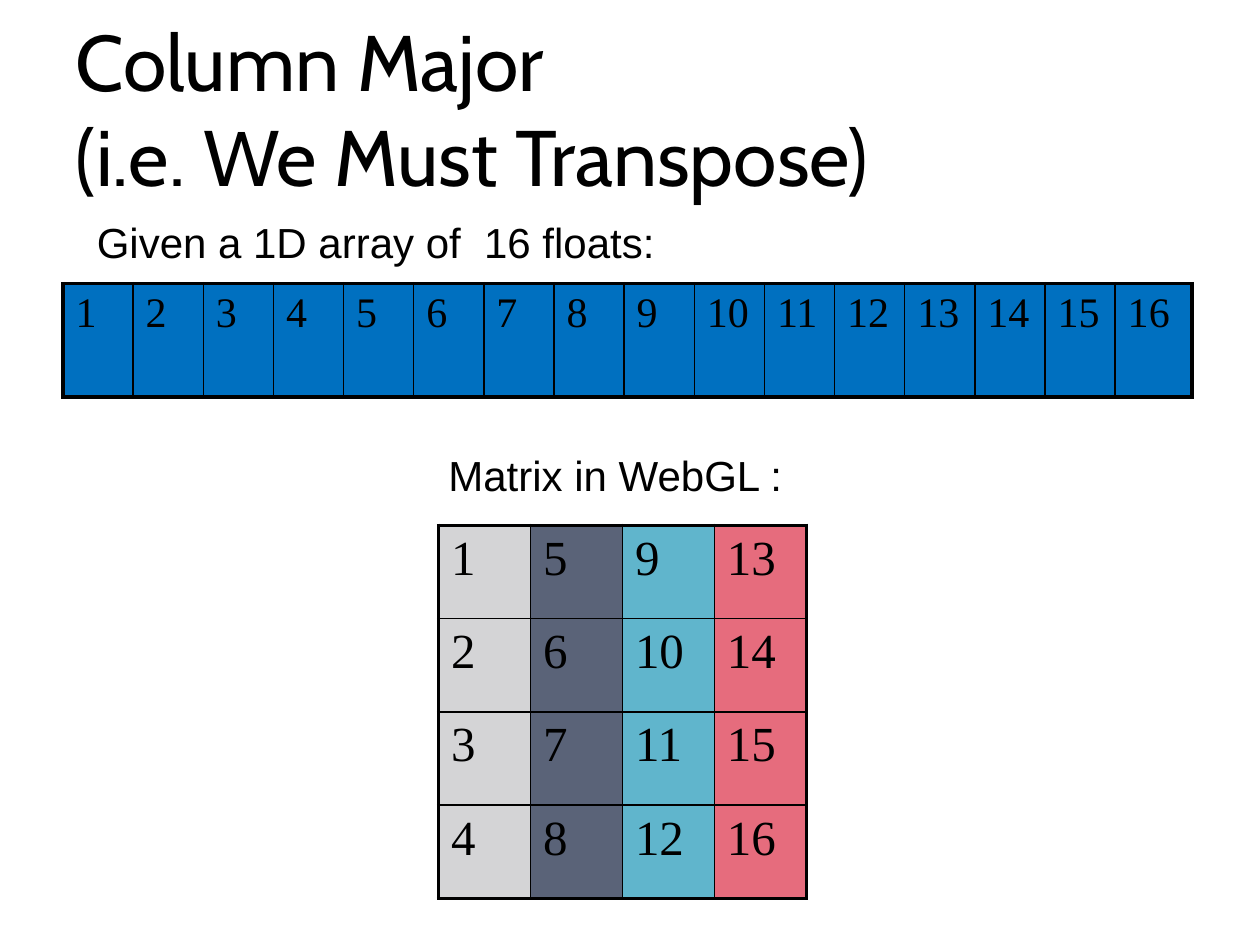
from dataclasses import dataclass

from lxml import etree
from pptx import Presentation
from pptx import util as u
from pptx.dml.color import RGBColor
from pptx.enum import text
from pptx.oxml.ns import qn


@dataclass(frozen=True)
class Theme:
    ink: str = "000000"
    array: str = "0070C0"
    columns: tuple = ("D4D4D6", "5A6378", "60B5CC", "E66C7D")
    head: str = "Cabin"
    body: str = "Arial"
    digit: str = "Times New Roman"
    title: int = 45
    label: int = 24
    cell: int = 28
    thin: float = 1
    thick: float = 2.25


class Deck:
    def __init__(self, theme, show):
        self.theme = theme
        self.slide = show.slides.add_slide(show.slide_layouts[5])

    def run(self, para, words, size, face):
        run = para.add_run()
        run.text = words
        run.font.size = u.Pt(size)
        run.font.name = face
        run.font.color.rgb = RGBColor.from_string(self.theme.ink)

    def place(self, shape, box):
        shape.left, shape.top, shape.width, shape.height = map(u.Inches, box)

    def title(self, lines, box):
        shape = self.slide.shapes.title
        self.place(shape, box)
        frame = shape.text_frame
        frame.word_wrap = True
        frame.auto_size = text.MSO_AUTO_SIZE.NONE
        frame.vertical_anchor = text.MSO_ANCHOR.MIDDLE
        frame.margin_left = u.Inches(0.1)
        frame.margin_right = u.Inches(0.05)
        para = frame.paragraphs[0]
        para.alignment = text.PP_ALIGN.LEFT
        for i, line in enumerate(lines):
            if i:
                para.add_line_break()
            self.run(para, line, self.theme.title, self.theme.head)

    def label(self, words, box):
        frame = self.slide.shapes.add_textbox(*map(u.Inches, box)).text_frame
        frame.word_wrap = True
        frame.auto_size = text.MSO_AUTO_SIZE.SHAPE_TO_FIT_TEXT
        self.run(frame.paragraphs[0], words, self.theme.label, self.theme.body)

    def border(self, cell, outer):
        """Draw four sides, thick where outer (left, right, top, bottom) is true."""
        props = cell._tc.get_or_add_tcPr()
        for i, (side, edge) in enumerate(zip("LRTB", outer)):
            width = self.theme.thick if edge else self.theme.thin
            line = etree.Element(qn(f"a:ln{side}"), w=str(u.Pt(width)))
            fill = etree.SubElement(line, qn("a:solidFill"))
            etree.SubElement(fill, qn("a:srgbClr"), val=self.theme.ink)
            props.insert(i, line)

    def table(self, values, box, widths, fills, size):
        rows, cols = len(values), len(values[0])
        frame = self.slide.shapes.add_table(rows, cols, *map(u.Inches, box))
        grid = frame.table
        grid.first_row = grid.horz_banding = False
        for col, width in zip(grid.columns, widths):
            col.width = u.Inches(width)
        for r, row in enumerate(values):
            for c, value in enumerate(row):
                cell = grid.cell(r, c)
                cell.fill.solid()
                cell.fill.fore_color.rgb = RGBColor.from_string(fills[c])
                self.run(cell.text_frame.paragraphs[0], str(value), size,
                         self.theme.digit)
                self.border(cell, (c == 0, c == cols - 1, r == 0, r == rows - 1))


def main():
    show = Presentation()
    show.slide_width, show.slide_height = u.Inches(10), u.Inches(7.5)
    theme = Theme()
    deck = Deck(theme, show)
    deck.title(["Column Major", "(i.e. We Must Transpose)"], (0.5, 0.17, 9, 1.37))

    order = 4
    count = order ** 2
    matrix = [range(r, count + 1, order) for r in range(1, order + 1)]
    deck.table(matrix, (3.48, 4.17, 2.92, 2.96), [0.73] * order,
               theme.columns, theme.cell)
    deck.label("Matrix in WebGL :", (3.46, 3.52, 3.19, 0.51))

    deck.table([range(1, count + 1)], (0.5, 2.25, 8.97, 0.9),
               [0.557] * (count - 1) + [0.61], [theme.array] * count, theme.label)
    deck.label("Given a 1D array of  16 floats:", (0.67, 1.67, 5.98, 0.51))
    show.save("out.pptx")


if __name__ == "__main__":
    main()
